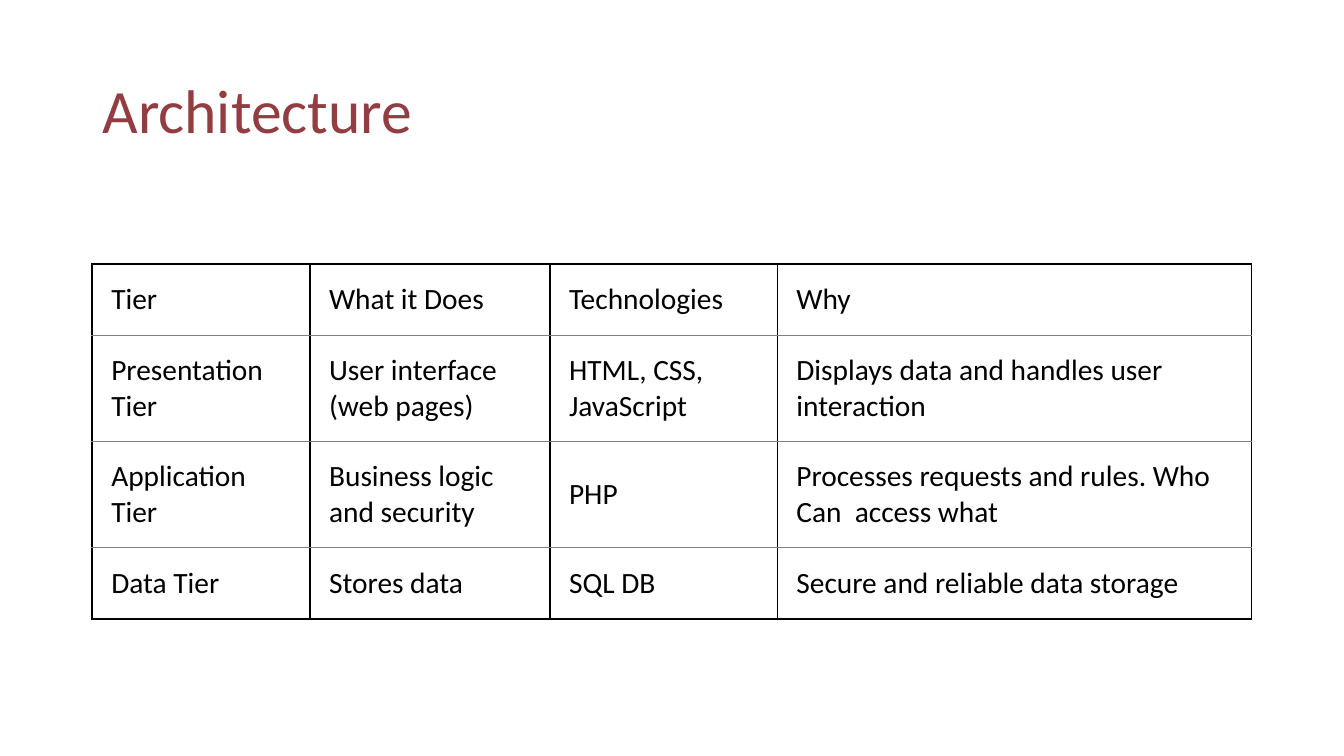
from lxml.etree import SubElement
from pptx import Presentation
from pptx.dml.color import RGBColor
from pptx.enum.text import MSO_ANCHOR, PP_ALIGN
from pptx.oxml.ns import qn
from pptx.util import Pt

FONT = "Calibri"
BLACK = "000000"
GREY = "808080"
MAROON = "923D41"
LEFT, WIDTH = 66, 828
COLUMN_WIDTHS = [155.6, 171.4, 162.4, 338.6]
ROW_HEIGHTS = [51, 75.8, 75.8, 51]
TIERS = [
    ["Tier", "What it Does", "Technologies", "Why"],
    ["Presentation Tier", "User interface (web pages)", "HTML, CSS, JavaScript",
     "Displays data and handles user interaction"],
    ["Application Tier", "Business logic and security", "PHP",
     "Processes requests and rules. Who Can  access what"],
    ["Data Tier", "Stores data", "SQL DB", "Secure and reliable data storage"],
]


def color(value):
    """Turn a hex string into a colour."""
    return RGBColor.from_string(value)


def format_text(frame, size, value):
    """Set the font of every run in a text frame."""
    for para in frame.paragraphs:
        for span in para.runs:
            span.font.name = FONT
            span.font.size = Pt(size)
            span.font.color.rgb = color(value)


def add_title(page, text):
    """Fill and place the title placeholder."""
    title = page.shapes.title
    title.left, title.top = Pt(LEFT), Pt(28.75)
    title.width, title.height = Pt(WIDTH), Pt(104.4)
    frame = title.text_frame
    frame.text = text
    frame.vertical_anchor = MSO_ANCHOR.MIDDLE
    frame.paragraphs[0].alignment = PP_ALIGN.LEFT
    frame.paragraphs[0].line_spacing = 0.9
    format_text(frame, 44, MAROON)


def add_border(cell, side, value, width):
    """Draw one border of a cell."""
    properties = cell._tc.get_or_add_tcPr()
    line = SubElement(properties, qn("a:ln" + side), w=str(Pt(width)))
    fill = SubElement(line, qn("a:solidFill"))
    SubElement(fill, qn("a:srgbClr"), val=value)


def format_cell(cell, text, first, last):
    """Write a cell and set its margins, borders and font."""
    cell.text = text
    cell.vertical_anchor = MSO_ANCHOR.MIDDLE
    cell.margin_left = Pt(13.5)
    cell.margin_right = cell.margin_top = cell.margin_bottom = Pt(10.8)
    outer, inner = (BLACK, 1.5), (GREY, 0.5)
    add_border(cell, "L", *outer)
    add_border(cell, "R", *outer)
    add_border(cell, "T", *(outer if first else inner))
    add_border(cell, "B", *(outer if last else inner))
    cell.fill.background()
    format_text(cell.text_frame, 21, BLACK)


def add_tier_table(page, rows):
    """Add the table of tiers."""
    frame = page.shapes.add_table(len(rows), len(COLUMN_WIDTHS), Pt(LEFT), Pt(188.6),
                                  Pt(WIDTH), Pt(sum(ROW_HEIGHTS)))
    table = frame.table
    table.horz_banding = False
    table.first_row = False
    for column, width in zip(table.columns, COLUMN_WIDTHS):
        column.width = Pt(width)
    for index, texts in enumerate(rows):
        table.rows[index].height = Pt(ROW_HEIGHTS[index])
        for cell, text in zip(table.rows[index].cells, texts):
            format_cell(cell, text, index == 0, index == len(rows) - 1)


def main():
    """Build and save the deck."""
    deck = Presentation()
    deck.slide_width, deck.slide_height = Pt(960), Pt(540)
    page = deck.slides.add_slide(deck.slide_layouts[5])
    add_title(page, "Architecture")
    add_tier_table(page, TIERS)
    deck.save("out.pptx")


if __name__ == "__main__":
    main()
